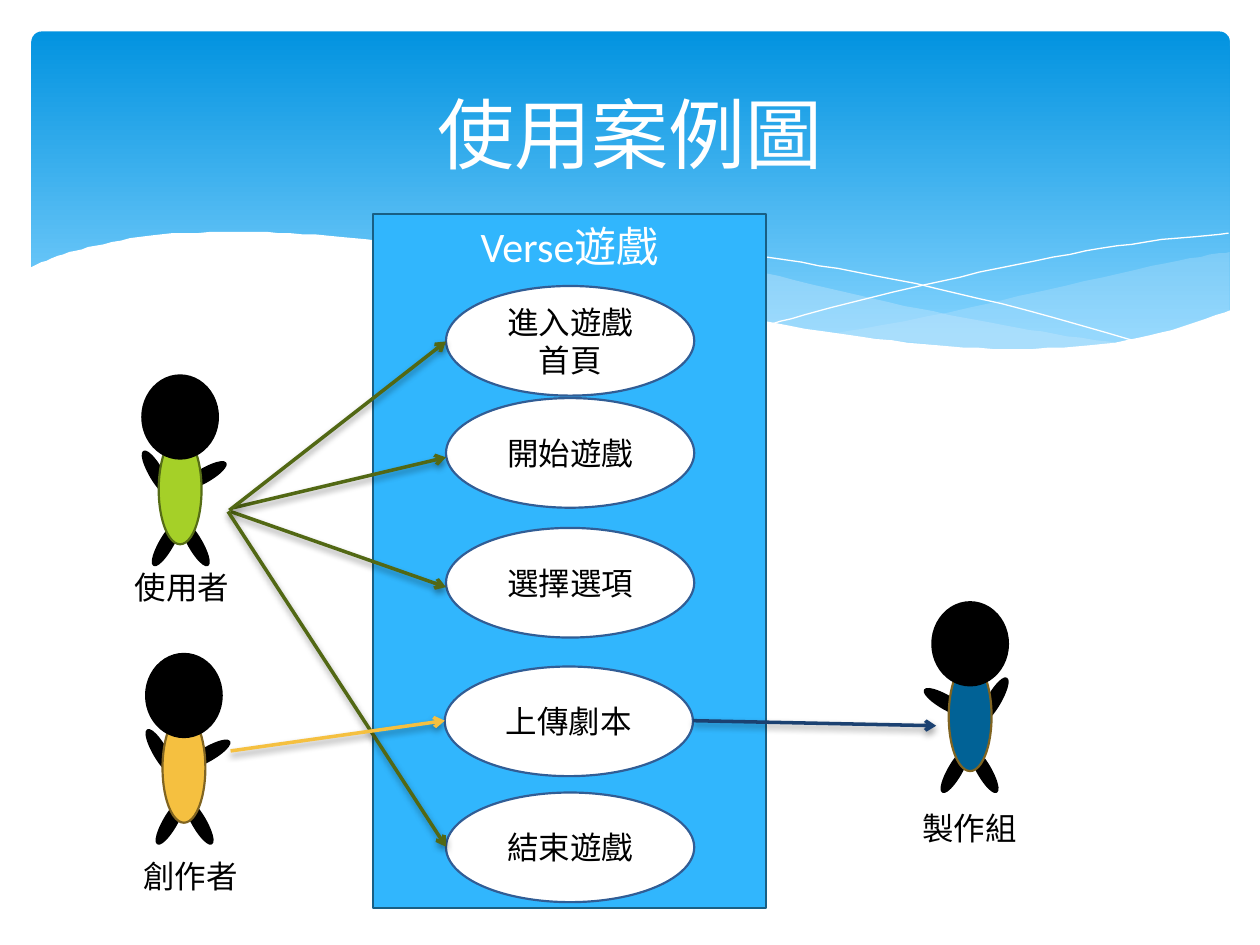
from lxml import etree
from pptx import Presentation
from pptx import util as u
from pptx.dml.color import RGBColor
from pptx.enum import shapes, text
from pptx.oxml import ns

PX = 9144  # EMU per px, 100 px to the inch
FONT = "Calibri"
WHITE = RGBColor(0xFF, 0xFF, 0xFF)
BLACK = RGBColor(0, 0, 0)
SKY_TOP = RGBColor(0x02, 0x93, 0xE0)
SKY_BOTTOM = RGBColor(0x83, 0xD3, 0xFE)
MIST = RGBColor(0xC6, 0xE7, 0xFC)
SYSTEM_FILL = RGBColor(0x31, 0xB6, 0xFD)
SYSTEM_LINE = RGBColor(0x19, 0x5F, 0x84)
CASE_LINE = RGBColor(0x31, 0x5D, 0x95)
GREEN = RGBColor(0xA5, 0xD0, 0x28)
GREEN_LINE = RGBColor(0x56, 0x6D, 0x15)
GREEN_ARROW = RGBColor(0x52, 0x68, 0x14)
GOLD = RGBColor(0xF5, 0xC0, 0x40)
GOLD_LINE = RGBColor(0x80, 0x64, 0x21)
BLUE = RGBColor(0x01, 0x62, 0x96)
BLUE_ARROW = RGBColor(0x1B, 0x41, 0x71)


def smooth(knots, steps=6):
    """Points of a Catmull-Rom curve through the knots."""
    padded = [knots[0], *knots, knots[-1]]
    points = [knots[0]]
    for a, b, c, d in zip(padded, padded[1:], padded[2:], padded[3:]):
        for step in range(1, steps + 1):
            t = step / steps
            points.append(tuple(
                (2 * q + (r - p) * t + (2 * p - 5 * q + 4 * r - s) * t ** 2
                 + (3 * q - p - 3 * r + s) * t ** 3) / 2
                for p, q, r, s in zip(a, b, c, d)))
    return points


class UseCaseSlide:
    def __init__(self, slide):
        self.slide = slide

    def set_text(self, frame, words, size, color, align=text.PP_ALIGN.CENTER):
        frame.text = words
        paragraph = frame.paragraphs[0]
        paragraph.alignment = align
        paragraph.font.size = u.Pt(size)
        paragraph.font.name = FONT
        paragraph.font.color.rgb = color

    def title(self, words, *box):
        title = self.slide.shapes.title
        title.left, title.top, title.width, title.height = (n * PX for n in box)
        title.text_frame.vertical_anchor = text.MSO_ANCHOR.MIDDLE
        self.set_text(title.text_frame, words, 44, WHITE)
        title.element.getparent().append(title.element)  # above the backdrop

    def sky(self, *box):
        shape = self.slide.shapes.add_shape(
            shapes.MSO_SHAPE.ROUNDED_RECTANGLE, *(n * PX for n in box))
        shape.adjustments[0] = 0.03
        shape.shadow.inherit = False
        shape.line.fill.background()
        shape.fill.gradient()
        shape.fill.gradient_angle = 270
        first, last = shape.fill.gradient_stops
        first.color.rgb, first.position = SKY_TOP, 0
        last.color.rgb, last.position = SKY_BOTTOM, 0.9

    def wave(self, *edges, fill=None, alpha=100):
        """Closed shape of smooth edges, or a white hairline without a fill."""
        points = [point for edge in edges for point in smooth(edge)]
        builder = self.slide.shapes.build_freeform(*points[0], scale=PX)
        builder.add_line_segments(points[1:], close=fill is not None)
        shape = builder.convert_to_shape()
        shape.shadow.inherit = False
        if fill is None:
            shape.fill.background()
            shape.line.color.rgb = WHITE
            shape.line.width = 0
            return
        shape.line.fill.background()
        shape.fill.solid()
        shape.fill.fore_color.rgb = fill
        if alpha < 100:
            color = shape.element.spPr.find(ns.qn("a:solidFill"))[0]
            etree.SubElement(color, ns.qn("a:alpha"), val=str(alpha * 1000))

    def shape(self, kind, box, fill, line, parent=None, rotation=0):
        parent = parent or self.slide
        shape = parent.shapes.add_shape(kind, *(n * PX for n in box))
        shape.rotation = rotation
        shape.shadow.inherit = False
        shape.fill.solid()
        shape.fill.fore_color.rgb = fill
        shape.line.color.rgb = line
        shape.line.width = u.Pt(1.25)
        return shape

    def system(self, words, *box):
        shape = self.shape(shapes.MSO_SHAPE.RECTANGLE, box, SYSTEM_FILL, SYSTEM_LINE)
        shape.text_frame.vertical_anchor = text.MSO_ANCHOR.TOP
        self.set_text(shape.text_frame, words, 24, WHITE)

    def use_case(self, words, left, top):
        shape = self.shape(shapes.MSO_SHAPE.OVAL, (left, top, 197, 87), WHITE, CASE_LINE)
        shape.text_frame.word_wrap = True
        shape.text_frame.vertical_anchor = text.MSO_ANCHOR.MIDDLE
        self.set_text(shape.text_frame, words, 18, BLACK)

    def actor(self, left, top, fill, line, mirrored=False):
        oval = shapes.MSO_SHAPE.OVAL
        group = self.slide.shapes.add_group_shape()
        # Legs, then arms: offset from the head and rotation
        for x, y, rotation in ((14, 114, 30), (37, 114, 330), (44, 60, 60), (6, 58, 330)):
            if mirrored:
                x, rotation = 50 - x, 360 - rotation
            self.shape(oval, (left + x, top + y, 10, 39), BLACK, BLACK, group, rotation)
        self.shape(oval, (left + 13, top + 47, 34, 87), fill, line, group)
        self.shape(oval, (left, top, 60, 66), BLACK, BLACK, group)

    def label(self, words, left, top):
        box = self.slide.shapes.add_textbox(left * PX, top * PX, 96 * PX, 40 * PX)
        box.text_frame.word_wrap = False
        box.text_frame.auto_size = text.MSO_AUTO_SIZE.SHAPE_TO_FIT_TEXT
        self.set_text(box.text_frame, words, 18, BLACK, text.PP_ALIGN.LEFT)

    def arrow(self, start, end, color):
        connector = self.slide.shapes.add_connector(
            shapes.MSO_CONNECTOR.STRAIGHT, *(n * PX for n in (*start, *end)))
        connector.line.color.rgb = color
        connector.line.width = u.Pt(2)
        properties = connector.element.spPr
        etree.SubElement(properties.find(ns.qn("a:ln")), ns.qn("a:tailEnd"), type="arrow")
        effects = etree.SubElement(properties, ns.qn("a:effectLst"))
        shadow = etree.SubElement(
            effects, ns.qn("a:outerShdw"), blurRad=str(u.Pt(4)), dist=str(u.Pt(2)),
            dir="5400000", rotWithShape="0")
        shade = etree.SubElement(shadow, ns.qn("a:srgbClr"), val=str(BLACK))
        etree.SubElement(shade, ns.qn("a:alpha"), val="38000")


def main():
    presentation = Presentation()
    presentation.slide_width, presentation.slide_height = 1000 * PX, 750 * PX
    page = UseCaseSlide(presentation.slides.add_slide(presentation.slide_layouts[5]))

    # Backdrop of sky and waves
    page.sky(25, 25, 951, 270)
    page.wave([(976, 200), (935, 207), (861, 223), (753, 248), (661, 265)],
              [(661, 265), (719, 271), (769, 277), (814, 278), (863, 275),
               (913, 267), (949, 257), (976, 247)], fill=MIST, alpha=29)
    page.wave([(893, 273), (837, 265), (775, 254), (706, 240), (629, 222), (569, 208),
               (514, 198), (442, 189), (380, 185), (328, 187), (286, 191)],
              [(286, 191), (342, 199), (404, 211), (449, 222), (530, 240), (601, 255),
               (665, 266), (722, 274), (785, 278), (838, 278), (893, 273)],
              fill=MIST, alpha=40)
    page.wave([(309, 195), (344, 190), (401, 187), (469, 189), (533, 194), (608, 204),
               (695, 219), (795, 241), (907, 272)])
    page.wave([(613, 257), (672, 241), (748, 223), (836, 204), (910, 192), (975, 185)])
    page.wave([(977, 246), (930, 262), (875, 273), (809, 277), (744, 274), (668, 265),
               (579, 250), (503, 233), (447, 220), (365, 202), (292, 190), (230, 185),
               (177, 184), (119, 187), (76, 195), (46, 203), (23, 213)],
              [(23, 329), (977, 329)], fill=WHITE)
    page.title("使用案例圖", 50, 37, 900, 137)

    # System with its use cases
    page.system("Verse遊戲", 296, 170, 312, 551)
    for words, left, top in (("進入遊戲首頁", 354, 227), ("開始遊戲", 354, 316),
                             ("選擇選項", 354, 419), ("上傳劇本", 353, 529),
                             ("結束遊戲", 354, 629)):
        page.use_case(words, left, top)

    # Actors
    page.actor(113, 298, GREEN, GREEN_LINE)
    page.actor(116, 519, GOLD, GOLD_LINE)
    page.actor(740, 478, BLUE, GOLD_LINE, mirrored=True)
    page.label("使用者", 97, 446)
    page.label("創作者", 104, 675)
    page.label("製作組", 722, 637)

    # Links between actors and use cases
    for start, end in (((185, 403), (354, 363)), ((183, 406), (354, 466)),
                       ((182, 405), (354, 271)), ((181, 406), (354, 672))):
        page.arrow(start, end, GREEN_ARROW)
    page.arrow((183, 596), (353, 572), GOLD)
    page.arrow((550, 572), (743, 576), BLUE_ARROW)

    presentation.save("out.pptx")


if __name__ == "__main__":
    main()
